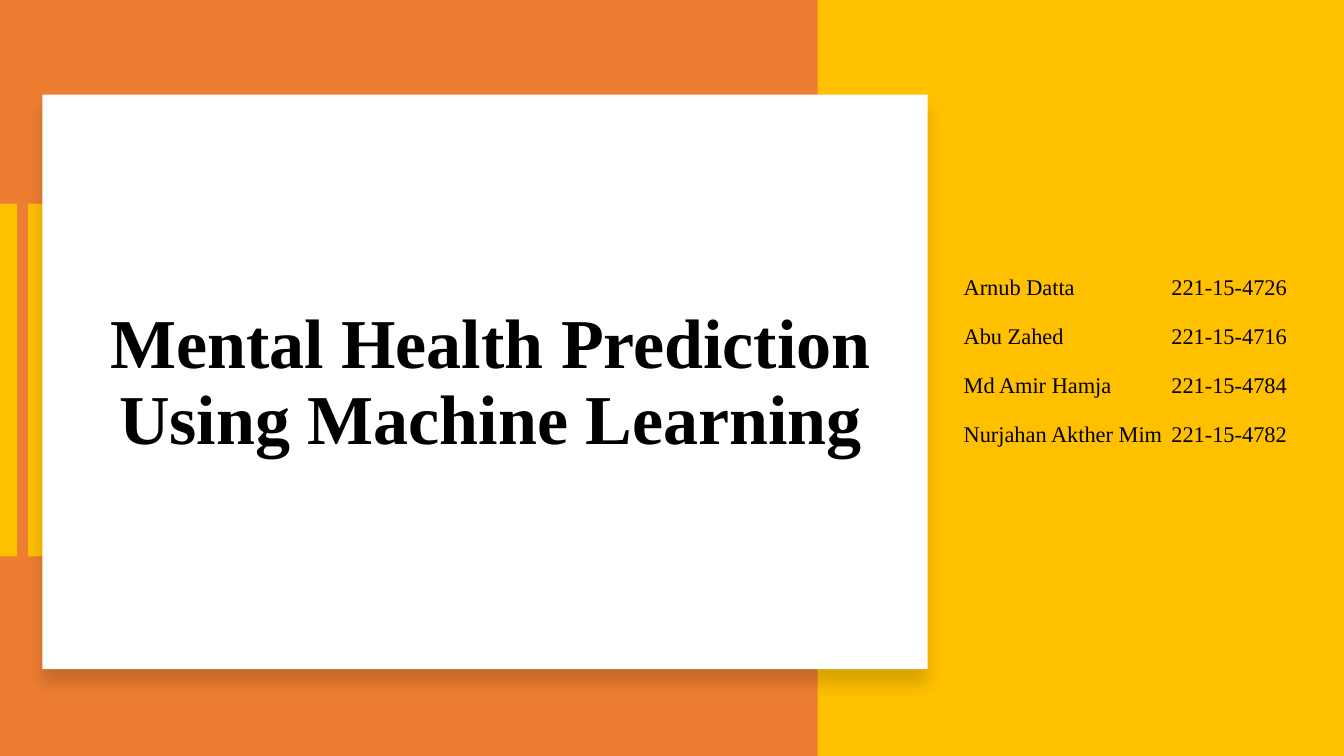
from dataclasses import dataclass

from lxml import etree
from pptx import Presentation
from pptx.dml.color import RGBColor
from pptx.enum import shapes, text
from pptx.oxml import ns
from pptx.slide import Slide
from pptx import util as u


@dataclass(frozen=True)
class Theme:
    orange: str = "ED7D31"
    gold: str = "FFC000"
    white: str = "FFFFFF"
    black: str = "000000"
    font: str = "Times New Roman"
    title_size: int = 50
    author_size: int = 16


@dataclass(frozen=True)
class Panel:
    left: float
    top: float
    width: float
    height: float
    fill: str
    raised: bool = False


@dataclass(frozen=True)
class Author:
    name: str
    student_id: str


THEME = Theme()
SLIDE_WIDTH, SLIDE_HEIGHT = 13.33, 7.5
ID_COLUMN = 2.06

PANELS = [
    Panel(0.28, 2.02, 0.17, 3.5, THEME.gold),
    Panel(8.11, 0, 5.22, SLIDE_HEIGHT, THEME.gold),
    Panel(0.42, 0.94, 8.78, 5.7, THEME.white, raised=True),
    Panel(0, 2.02, 0.17, 3.5, THEME.gold),
]

AUTHORS = [
    Author("Arnub Datta", "221-15-4726"),
    Author("Abu Zahed", "221-15-4716"),
    Author("Md Amir Hamja", "221-15-4784"),
    Author("Nurjahan Akther Mim", "221-15-4782"),
]


def add_soft_shadow(properties) -> None:
    """Cast a faint shadow straight down."""
    effects = properties.find(ns.qn("a:effectLst"))
    shadow = etree.SubElement(
        effects, ns.qn("a:outerShdw"), blurRad=str(u.Pt(11)),
        dist=str(u.Pt(10)), dir="5400000", algn="t", rotWithShape="0")
    color = etree.SubElement(shadow, ns.qn("a:srgbClr"), val=THEME.black)
    etree.SubElement(color, ns.qn("a:alpha"), val="15000")


def add_panel(slide: Slide, panel: Panel) -> None:
    block = slide.shapes.add_shape(
        shapes.MSO_SHAPE.RECTANGLE, u.Inches(panel.left), u.Inches(panel.top),
        u.Inches(panel.width), u.Inches(panel.height))
    block.fill.solid()
    block.fill.fore_color.rgb = RGBColor.from_string(panel.fill)
    block.line.fill.background()
    block.shadow.inherit = False
    if panel.raised:
        add_soft_shadow(block.element.spPr)


def add_text(slide: Slide, lines: list[str], *, left: float, top: float,
             width: float, height: float, size: int, bold: bool = False,
             align: text.PP_ALIGN = text.PP_ALIGN.LEFT, spacing: float = 1.0,
             before: float = 0, tab: float | None = None) -> None:
    box = slide.shapes.add_textbox(u.Inches(left), u.Inches(top),
                                   u.Inches(width), u.Inches(height))
    frame = box.text_frame
    frame.word_wrap = True
    frame.vertical_anchor = text.MSO_ANCHOR.MIDDLE
    frame.text = "\n".join(lines)
    for paragraph in frame.paragraphs:
        paragraph.alignment = align
        paragraph.line_spacing = spacing
        paragraph.space_before = u.Pt(before)
        font = paragraph.runs[0].font
        font.name, font.size, font.bold = THEME.font, u.Pt(size), bold
        font.color.rgb = RGBColor.from_string(THEME.black)
        if tab is not None:
            stops = etree.SubElement(paragraph._p.get_or_add_pPr(), ns.qn("a:tabLst"))
            etree.SubElement(stops, ns.qn("a:tab"), pos=str(u.Inches(tab)), algn="l")


def main() -> None:
    deck = Presentation()
    deck.slide_width = u.Inches(SLIDE_WIDTH)
    deck.slide_height = u.Inches(SLIDE_HEIGHT)
    slide = deck.slides.add_slide(deck.slide_layouts[6])

    # Background and panels
    slide.background.fill.solid()
    slide.background.fill.fore_color.rgb = RGBColor.from_string(THEME.orange)
    for panel in PANELS:
        add_panel(slide, panel)

    # Title on the white card
    add_text(slide, ["Mental Health Prediction Using Machine Learning"],
             left=0.7, top=1.61, width=8.34, height=4.39,
             size=THEME.title_size, bold=True,
             align=text.PP_ALIGN.CENTER, spacing=0.9)

    # Authors with their student numbers
    add_text(slide, [f"{author.name}\t{author.student_id}" for author in AUTHORS],
             left=9.46, top=2.02, width=3.6, height=3.02,
             size=THEME.author_size, spacing=1.3, before=10, tab=ID_COLUMN)

    deck.save("out.pptx")


if __name__ == "__main__":
    main()
